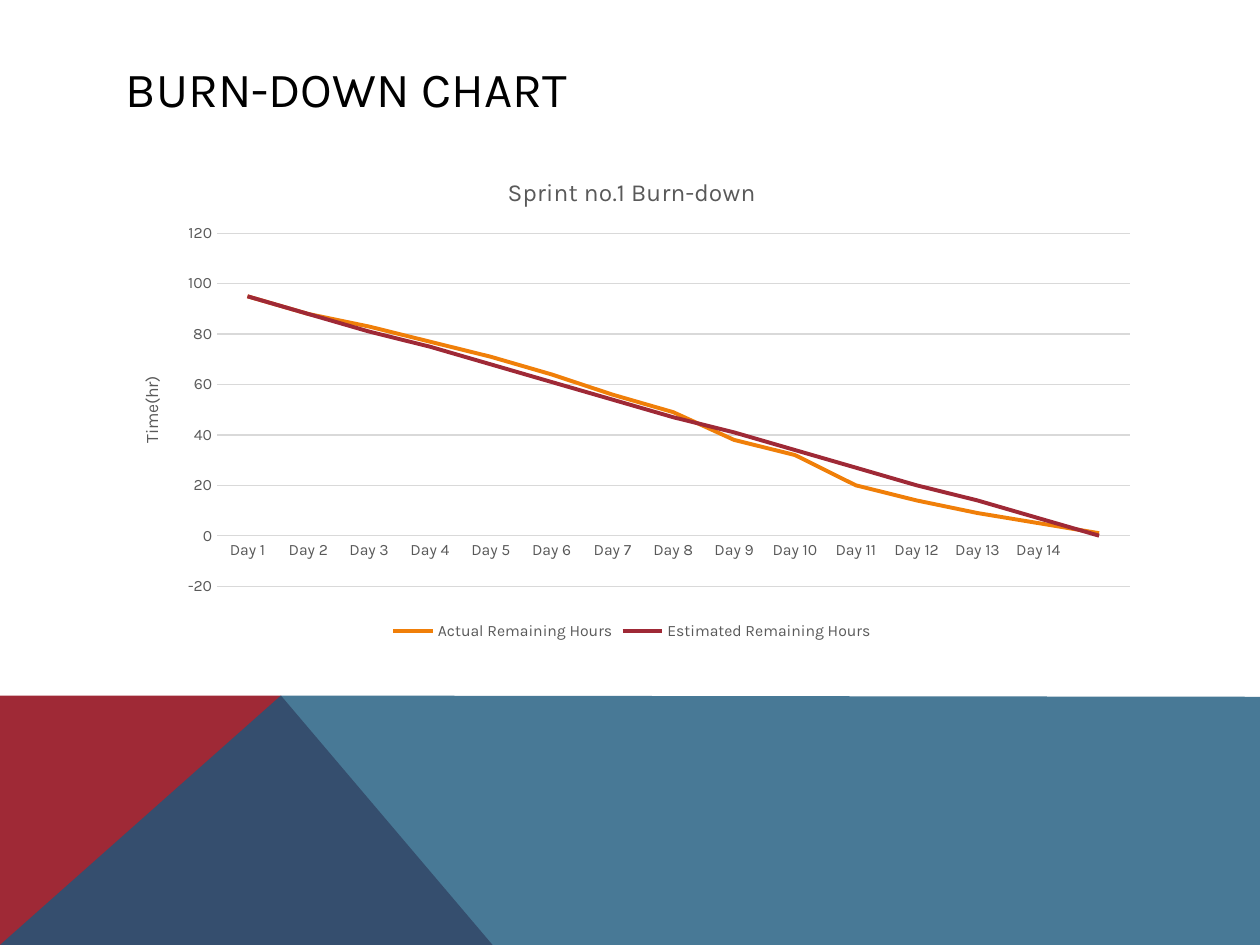
import lxml.etree
import pptx
import pptx.chart.data
import pptx.dml.color
import pptx.enum.chart
import pptx.enum.text
import pptx.oxml
import pptx.oxml.ns
import pptx.util

Inches, Pt = pptx.util.Inches, pptx.util.Pt
RGBColor = pptx.dml.color.RGBColor
qn = pptx.oxml.ns.qn

BLACK = RGBColor(0x00, 0x00, 0x00)
GREY = RGBColor(0x59, 0x59, 0x59)
GRID = RGBColor(0xD9, 0xD9, 0xD9)
RED = RGBColor(0x9F, 0x29, 0x36)
BLUE = RGBColor(0x1B, 0x58, 0x7C)
ORANGE = RGBColor(0xF0, 0x7F, 0x09)
FONT = "Karla"


def write_text(frame, text, size, color=GREY):
    """Put one line of formatted text into a text frame."""
    run = frame.paragraphs[0].add_run()
    run.text = text
    run.font.name = FONT
    run.font.size = Pt(size)
    run.font.bold = False
    run.font.color.rgb = color


def add_band(points, color, opacity=100):
    """Draw a filled polygon from points in inches."""
    (start_x, start_y), *rest = points
    builder = slide.shapes.build_freeform(Inches(start_x), Inches(start_y), scale=1.0)
    builder.add_line_segments([(Inches(x), Inches(y)) for x, y in rest], close=True)
    band = builder.convert_to_shape()
    band.shadow.inherit = False
    band.line.fill.background()
    band.fill.solid()
    band.fill.fore_color.rgb = color
    if opacity < 100:
        srgb = band.fill._xPr.find(".//" + qn("a:srgbClr"))
        lxml.etree.SubElement(srgb, qn("a:alpha"), val=str(opacity * 1000))


deck = pptx.Presentation()
deck.slide_width, deck.slide_height = Inches(10), Inches(7.5)
slide = deck.slides.add_slide(deck.slide_layouts[6])

# Bottom bands
add_band([(0, 7.5), (0, 5.52), (2.23, 5.52), (3.91, 7.5)], RED)
add_band([(0, 7.5), (2.23, 5.52), (10, 5.53), (10, 7.5)], BLUE, opacity=80)

# Heading
heading = slide.shapes.add_textbox(Inches(0.9), Inches(0.4), Inches(8.22), Inches(0.6))
heading.text_frame.word_wrap = True
heading.text_frame.vertical_anchor = pptx.enum.text.MSO_ANCHOR.MIDDLE
write_text(heading.text_frame, "BURN-DOWN CHART", size=28, color=BLACK)

# Burn-down data: the last point has no day label
hours = pptx.chart.data.CategoryChartData(number_format="General")
hours.categories = [f"Day {day}" for day in range(1, 15)] + [""]
hours.add_series("Actual Remaining Hours",
                 [95, 88, 83, 77, 71, 64, 56, 49, 38, 32, 20, 14, 9, 5, 1])
hours.add_series("Estimated Remaining Hours",
                 [95, 88, 81, 75, 68, 61, 54, 47, 41, 34, 27, 20, 14, 7, 0])
burndown = slide.shapes.add_chart(
    pptx.enum.chart.XL_CHART_TYPE.LINE,
    Inches(0.9), Inches(1.23), Inches(8.23), Inches(3.89), hours).chart
burndown.font.name = FONT
burndown.font.size = Pt(10)
burndown.font.color.rgb = BLACK

# Chart title and legend
burndown.has_title = True
write_text(burndown.chart_title.text_frame, "Sprint no.1 Burn-down", size=14)
burndown.chart_title.include_in_layout = False
burndown.has_legend = True
burndown.legend.position = pptx.enum.chart.XL_LEGEND_POSITION.BOTTOM
burndown.legend.include_in_layout = False

# Lines
burndown.plots[0].vary_by_categories = False
for series, color in zip(burndown.plots[0].series, (ORANGE, RED)):
    series.smooth = False
    series.marker.style = pptx.enum.chart.XL_MARKER_STYLE.NONE
    series.format.line.color.rgb = color
    series.format.line.width = Pt(2.25)

# Axes
days, time = burndown.category_axis, burndown.value_axis
for part in (days.tick_labels, time.tick_labels, burndown.legend):
    part.font.name = FONT
    part.font.size = Pt(9)
    part.font.color.rgb = GREY
for axis in (days, time):
    axis.major_tick_mark = pptx.enum.chart.XL_TICK_MARK.NONE
    axis.minor_tick_mark = pptx.enum.chart.XL_TICK_MARK.NONE
for rule in (days.format.line, time.major_gridlines.format.line):
    rule.color.rgb = GRID
    rule.width = Pt(0.75)
time.format.line.fill.background()
time.minimum_scale, time.maximum_scale, time.major_unit = -20, 120, 20
time.has_title = True
write_text(time.axis_title.text_frame, "Time(hr)", size=10)
time.axis_title.text_frame._txBody.bodyPr.set("rot", "-5400000")

# Plot area position, as fractions of the chart
plot_area = burndown.plots[0]._element.getparent()
for old_layout in plot_area.findall(qn("c:layout")):
    plot_area.remove(old_layout)
layout = lxml.etree.Element(qn("c:layout"))
manual = lxml.etree.SubElement(layout, qn("c:manualLayout"))
for tag, value in (("layoutTarget", "inner"), ("xMode", "edge"), ("yMode", "edge"),
                   ("x", "0.1"), ("y", "0.16"), ("w", "0.88"), ("h", "0.72")):
    lxml.etree.SubElement(manual, qn("c:" + tag), val=value)
plot_area.insert(0, layout)

deck.save("out.pptx")
